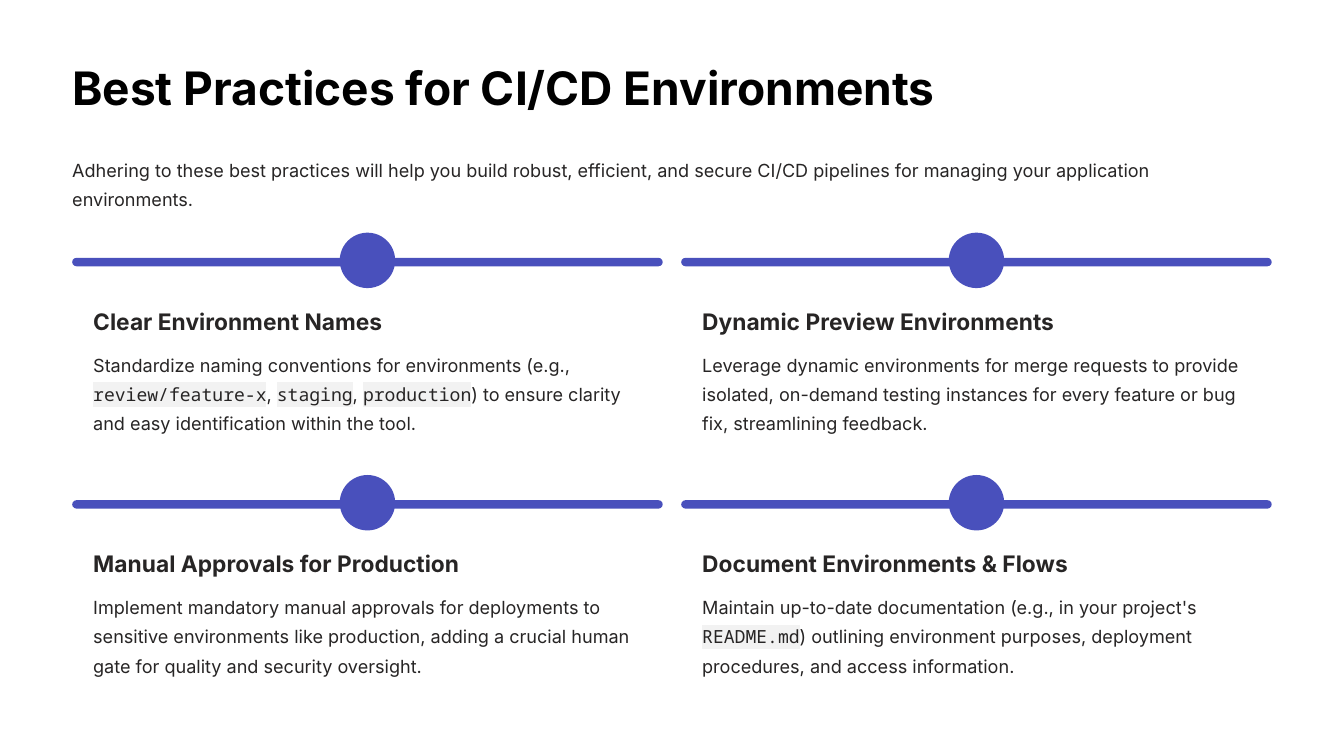
from lxml import etree
from pptx import Presentation
from pptx.dml.color import RGBColor
from pptx.enum.shapes import MSO_SHAPE
from pptx.oxml.ns import qn
from pptx.util import Inches, Pt

ROUNDED = MSO_SHAPE.ROUNDED_RECTANGLE
OVAL = MSO_SHAPE.OVAL

LEFT = 0.86
COLUMN_STEP, ROW_STEP = 7.25, 2.885
CARD_TOP, CARD_WIDTH, CARD_HEIGHT = 3.1, 7.03, 2.34
BAR_HEIGHT, DOT_SIZE = 0.1, 0.66
PADDING = 0.25

# Backticks enclose code words.
PRACTICES = [
    ("Clear Environment Names", 3.5,
     "Standardize naming conventions for environments (e.g., `review/feature-x`, "
     "`staging`, `production`) to ensure clarity and easy identification within the tool."),
    ("Dynamic Preview Environments", 4.26,
     "Leverage dynamic environments for merge requests to provide isolated, on-demand "
     "testing instances for every feature or bug fix, streamlining feedback."),
    ("Manual Approvals for Production", 4.44,
     "Implement mandatory manual approvals for deployments to sensitive environments like "
     "production, adding a crucial human gate for quality and security oversight."),
    ("Document Environments & Flows", 4.43,
     "Maintain up-to-date documentation (e.g., in your project's `README.md`) outlining "
     "environment purposes, deployment procedures, and access information."),
]


def color(hex_string):
    return RGBColor.from_string(hex_string)


class PracticeSlide:
    FONT, CODE_FONT = "Inter", "Noto Sans Mono"
    WHITE, BLACK, INK = "FFFFFF", "000000", "272525"
    ACCENT, CODE_BACK = "4950BC", "F2F2F2"

    def __init__(self, slide):
        self.slide = slide
        background = slide.background.fill
        background.solid()
        background.fore_color.rgb = color(self.WHITE)

    def shape(self, kind, left, top, width, height, fill, corner=None):
        shape = self.slide.shapes.add_shape(
            kind, Inches(left), Inches(top), Inches(width), Inches(height))
        shape.shadow.inherit = False
        shape.fill.solid()
        shape.fill.fore_color.rgb = color(fill)
        shape.line.fill.background()
        if corner is not None:
            shape.adjustments[0] = corner

    def text(self, content, left, top, width, height, size, spacing,
             ink=INK, bold=False, wrap=True):
        """Add a text box; parts between backticks are set as code."""
        box = self.slide.shapes.add_textbox(
            Inches(left), Inches(top), Inches(width), Inches(height))
        frame = box.text_frame
        frame.word_wrap = wrap
        frame.margin_left = frame.margin_right = 0
        frame.margin_top = frame.margin_bottom = 0
        paragraph = frame.paragraphs[0]
        paragraph.line_spacing = Pt(spacing)
        for index, part in enumerate(content.split("`")):
            is_code = index % 2 == 1
            run = paragraph.add_run()
            run.text = part
            run.font.size = Pt(size)
            run.font.bold = bold
            run.font.color.rgb = color(ink)
            run.font.name = self.CODE_FONT if is_code else self.FONT
            if is_code:
                self.highlight(run)

    def highlight(self, run):
        mark = etree.Element(qn("a:highlight"))
        etree.SubElement(mark, qn("a:srgbClr"), val=self.CODE_BACK)
        run._r.get_or_add_rPr().find(qn("a:latin")).addprevious(mark)

    def heading(self, content, left, top, width):
        self.text(content, left, top, width, 0.35, 19.5, 24.5, bold=True, wrap=False)

    def body(self, content, left, top, width, height):
        self.text(content, left, top, width, height, 15.5, 25)

    def card(self, left, top, title, title_width, description):
        self.shape(ROUNDED, left, top, CARD_WIDTH, CARD_HEIGHT, self.WHITE, 0.05)
        self.shape(ROUNDED, left, top - 0.03, CARD_WIDTH, BAR_HEIGHT, self.ACCENT, 0.5)
        self.shape(OVAL, left + (CARD_WIDTH - DOT_SIZE) / 2, top - DOT_SIZE / 2,
                   DOT_SIZE, DOT_SIZE, self.ACCENT)
        self.heading(title, left + PADDING, top + 0.55, title_width)
        self.body(description, left + PADDING, top + 1.03, 6.54, 1.06)


def main():
    deck = Presentation()
    deck.slide_width, deck.slide_height = Inches(16), Inches(9)
    page = PracticeSlide(deck.slides.add_slide(deck.slide_layouts[6]))
    page.text("Best Practices for CI/CD Environments", LEFT, 0.68, 10.35, 0.69,
              39.5, 49.5, ink=page.BLACK, bold=True, wrap=False)
    page.body("Adhering to these best practices will help you build robust, efficient, and "
              "secure CI/CD pipelines for managing your application environments.",
              LEFT, 1.81, 14.28, 0.71)
    for index, practice in enumerate(PRACTICES):
        row, column = divmod(index, 2)
        page.card(LEFT + column * COLUMN_STEP, CARD_TOP + row * ROW_STEP, *practice)
    deck.save("out.pptx")


if __name__ == "__main__":
    main()
